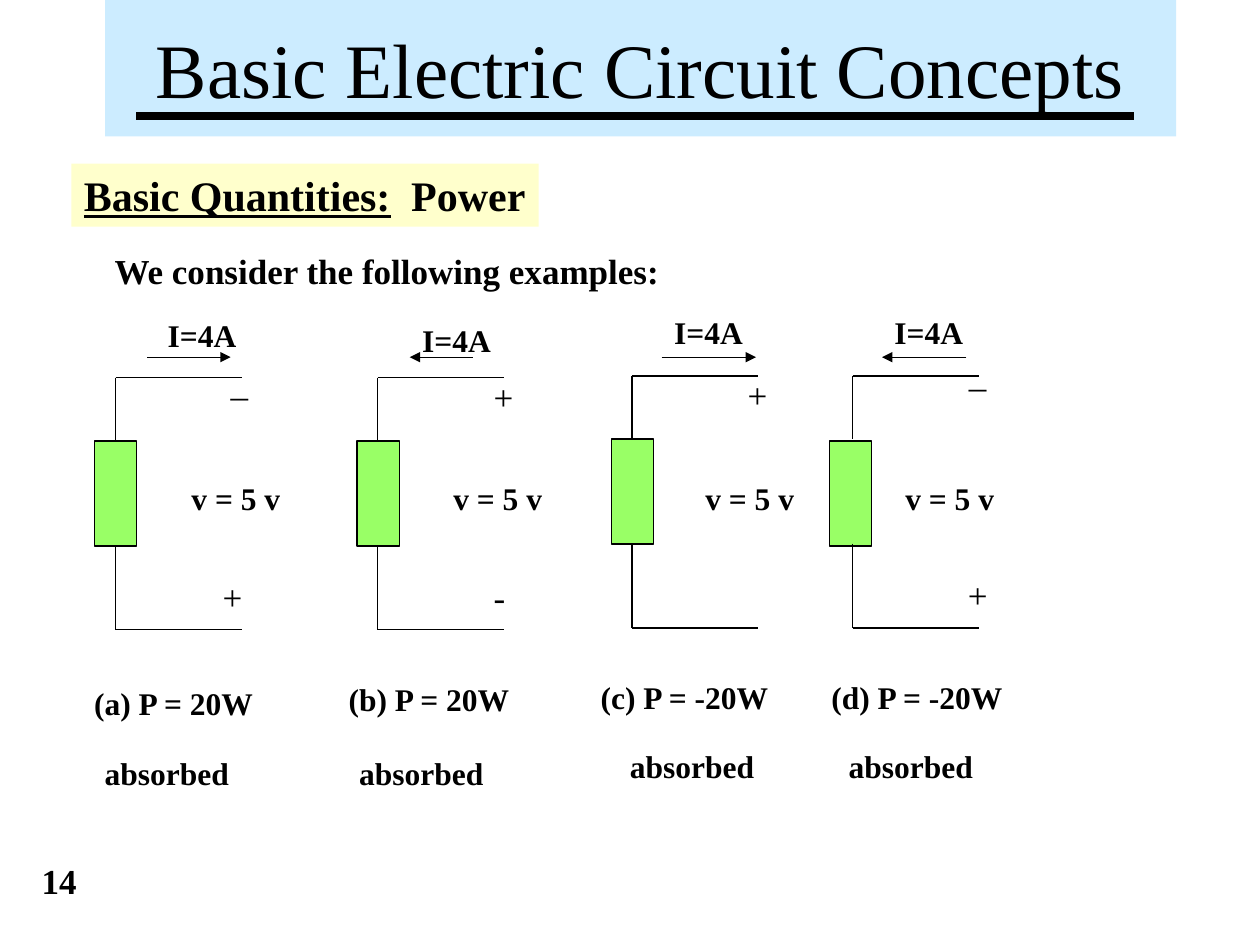
from dataclasses import dataclass
from typing import Optional

from lxml import etree
from pptx import Presentation
from pptx.dml.color import RGBColor
from pptx.enum.shapes import MSO_CONNECTOR, MSO_SHAPE
from pptx.enum.text import MSO_ANCHOR, MSO_AUTO_SIZE, PP_ALIGN
from pptx.oxml.ns import qn
from pptx.util import Cm, Pt

RECT = MSO_SHAPE.RECTANGLE
STRAIGHT = MSO_CONNECTOR.STRAIGHT
TOP, MIDDLE = MSO_ANCHOR.TOP, MSO_ANCHOR.MIDDLE
FIT = MSO_AUTO_SIZE.SHAPE_TO_FIT_TEXT
LEFT, CENTER = PP_ALIGN.LEFT, PP_ALIGN.CENTER

BLACK = RGBColor(0x00, 0x00, 0x00)
SKY = RGBColor(0xCC, 0xEC, 0xFF)
CREAM = RGBColor(0xFF, 0xFF, 0xCC)
GREEN = RGBColor(0x99, 0xFF, 0x66)
FONT = "Times New Roman"

# Shared circuit measures, in cm
BODY_W, BODY_H = 0.85, 2.12
WIRE_LEN = 2.54
UPPER_END, LOWER_START, HEIGHT = 1.27, 3.38, 5.08
ARROW_Y, VOLTAGE_Y = 7.2, 9.53


@dataclass
class Label:
    text: str
    x: float
    y: float
    w: float
    size: int = 18
    bold: bool = True


@dataclass
class Circuit:
    x: float
    y: float
    body_x: float
    body_y: float
    arrow: tuple[float, float]
    current: tuple[float, float]
    voltage_x: float
    top_sign: Label
    bottom_sign: Optional[Label]
    power: Label
    absorbed: tuple[float, float]


def sign(text: str, x: float, y: float, w: float = 0.9) -> Label:
    return Label(text, x, y, w, 20, False)


CIRCUITS = [
    Circuit(2.33, 7.61, 1.9, 8.89, (2.97, 4.65), (3.13, 6.25), 3.61,
            sign("_", 4.4, 7.16, 0.87), sign("+", 4.24, 11.48),
            Label("(a) P = 20W", 1.65, 13.67, 3.75), (1.86, 15.07)),
    Circuit(7.61, 7.61, 7.2, 8.89, (9.53, 8.26), (8.26, 6.35), 8.89,
            sign("+", 9.7, 7.44), sign("-", 9.7, 11.48, 0.75),
            Label("(b) P = 20W", 6.78, 13.59, 3.8), (6.99, 15.07)),
    Circuit(12.74, 7.58, 12.33, 8.85, (13.34, 15.24), (13.34, 6.18), 13.97,
            sign("+", 14.82, 7.41), None,
            Label("(c) P = -20W", 11.86, 13.55, 3.93), (12.45, 14.94)),
    Circuit(17.19, 7.58, 16.72, 8.89, (19.48, 17.78), (17.78, 6.18), 18,
            sign("_", 19.28, 6.98, 0.87), sign("+", 19.26, 11.43),
            Label("(d) P = -20W", 16.51, 13.55, 4), (16.86, 14.94)),
]


def format_run(r, size: int, bold: bool) -> None:
    r.font.name = FONT
    r.font.size = Pt(size)
    r.font.bold = bold
    r.font.color.rgb = BLACK


def add_rect(s, x: float, y: float, w: float, h: float, fill: RGBColor):
    sp = s.shapes.add_shape(RECT, Cm(x), Cm(y), Cm(w), Cm(h))
    sp.shadow.inherit = False
    sp.fill.solid()
    sp.fill.fore_color.rgb = fill
    sp.line.fill.background()
    return sp


def add_line(s, x1: float, y1: float, x2: float, y2: float,
             width: float = 0.75, arrow: bool = False) -> None:
    cx = s.shapes.add_connector(STRAIGHT, Cm(x1), Cm(y1), Cm(x2), Cm(y2))
    cx.line.color.rgb = BLACK
    cx.line.width = Pt(width)
    if arrow:
        ln = cx.line._get_or_add_ln()
        etree.SubElement(ln, qn("a:tailEnd"), type="triangle")
    etree.SubElement(cx._element.spPr, qn("a:effectLst"))


def add_label(s, label: Label) -> None:
    height = 1.02 if label.size == 18 else 1.12
    sp = s.shapes.add_textbox(Cm(label.x), Cm(label.y), Cm(label.w), Cm(height))
    tf = sp.text_frame
    tf.word_wrap = False
    tf.auto_size = FIT
    tf.text = label.text
    format_run(tf.paragraphs[0].runs[0], label.size, label.bold)


def add_circuit(s, c: Circuit) -> None:
    # Resistor and wires
    body = add_rect(s, c.body_x, c.body_y, BODY_W, BODY_H, GREEN)
    body.line.color.rgb = BLACK
    body.line.width = Pt(0.75)
    bottom = c.y + HEIGHT
    add_line(s, c.x, c.y, c.x, c.y + UPPER_END)
    add_line(s, c.x, c.y + LOWER_START, c.x, bottom)
    for y in (c.y, bottom):
        add_line(s, c.x, y, c.x + WIRE_LEN, y)
    # Current direction
    start, end = c.arrow
    add_line(s, start, ARROW_Y, end, ARROW_Y, arrow=True)
    # Labels
    add_label(s, Label("I=4A", *c.current, 1.95))
    add_label(s, Label("v = 5 v", c.voltage_x, VOLTAGE_Y, 2.32))
    add_label(s, c.top_sign)
    if c.bottom_sign:
        add_label(s, c.bottom_sign)
    add_label(s, c.power)
    add_label(s, Label("absorbed", *c.absorbed, 3.08))


def add_title(s) -> None:
    sp = add_rect(s, 2.12, 0, 21.59, 2.75, SKY)
    tf = sp.text_frame
    tf.vertical_anchor = MIDDLE
    tf.text = "Basic Electric Circuit Concepts"
    p = tf.paragraphs[0]
    p.alignment = CENTER
    format_run(p.runs[0], 44, False)
    add_line(s, 2.75, 2.33, 22.86, 2.33, width=4.5)


def add_heading(s) -> None:
    sp = add_rect(s, 1.44, 3.3, 9.42, 1.27, CREAM)
    tf = sp.text_frame
    tf.word_wrap = False
    tf.auto_size = FIT
    tf.vertical_anchor = TOP
    p = tf.paragraphs[0]
    p.alignment = LEFT
    tabs = etree.SubElement(p._p.get_or_add_pPr(), qn("a:tabLst"))
    etree.SubElement(tabs, qn("a:tab"), pos=str(Cm(6.6)), algn="l")
    for text, underline in (("Basic Quantities:", True), ("\tPower", False)):
        r = p.add_run()
        r.text = text
        format_run(r, 24, True)
        r.font.underline = underline


def main() -> None:
    prs = Presentation()
    prs.slide_width, prs.slide_height = Cm(25.4), Cm(19.05)
    s = prs.slides.add_slide(prs.slide_layouts[6])
    add_title(s)
    add_heading(s)
    add_label(s, Label("We consider the following examples:",
                       2.06, 4.9, 11.55, 20))
    for circuit in CIRCUITS:
        add_circuit(s, circuit)
    # Slide number
    add_label(s, Label("14", 0.59, 17.2, 1.23, 20))
    prs.save("out.pptx")


if __name__ == "__main__":
    main()
